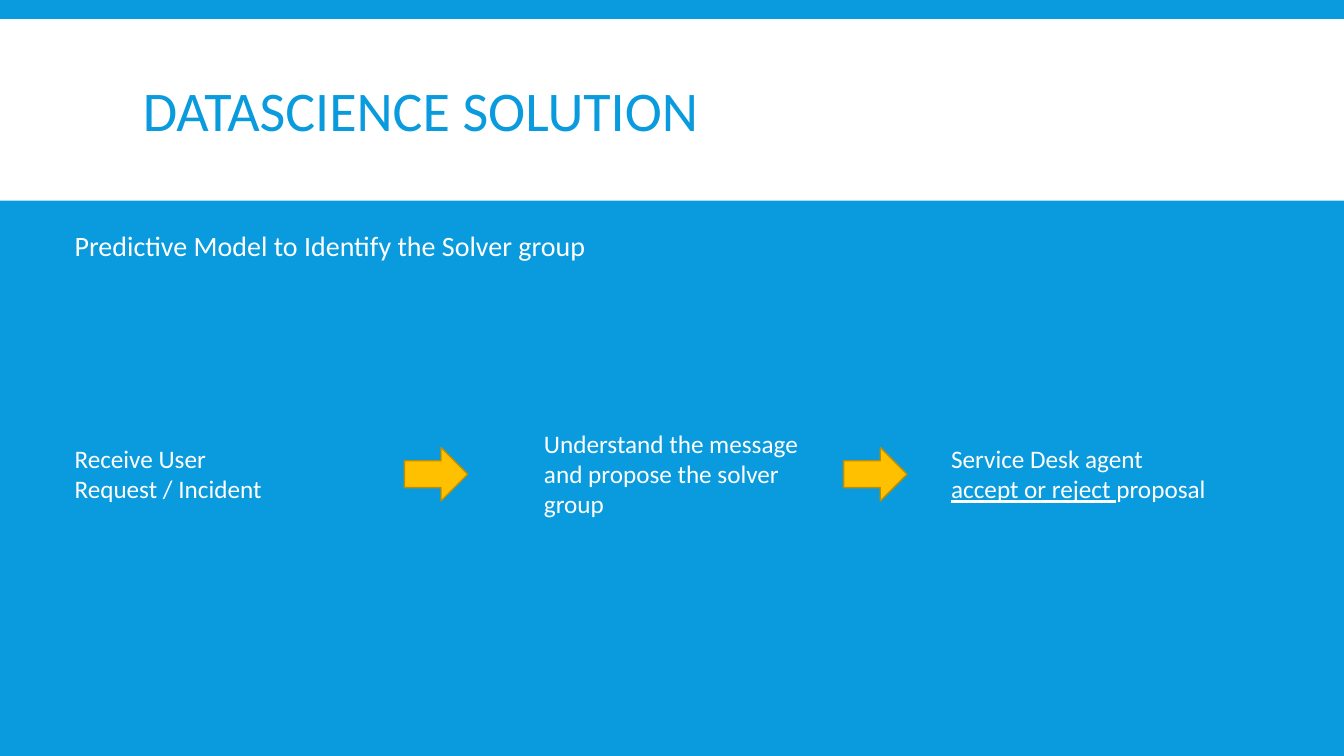
import pptx
import pptx.dml.color
import pptx.enum.shapes
import pptx.enum.text
import pptx.util

Cm = pptx.util.Cm
RGBColor = pptx.dml.color.RGBColor
MSO_SHAPE = pptx.enum.shapes.MSO_SHAPE
MSO_ANCHOR = pptx.enum.text.MSO_ANCHOR

BLUE = RGBColor(0x09, 0x9B, 0xDD)
WHITE = RGBColor(0xFF, 0xFF, 0xFF)
AMBER = RGBColor(0xFF, 0xC0, 0x00)
DARK_AMBER = RGBColor(0xBD, 0x8E, 0x00)

SLIDE_WIDTH, SLIDE_HEIGHT = 33.87, 19.05
LEFT_MARGIN = 1.63
FLOW_MIDDLE = 11.95
ARROW_WIDTH, ARROW_HEIGHT = 1.6, 1.35

# Each step: left, width, height, text runs as (text, underlined)
STEPS = [
    (LEFT_MARGIN, 6.43, 1.8, [("Receive User Request / Incident", False)]),
    (13.46, 6.91, 2.57,
     [("Understand the message and propose the solver group", False)]),
    (23.72, 7.1, 1.8,
     [("Service Desk agent ", False), ("accept or reject ", True),
      ("proposal", False)]),
]
ARROW_LEFTS = [10.19, 21.26]


def add_text(slide, runs, left, top, width, height, *, size=18, color=WHITE,
             anchor=MSO_ANCHOR.TOP, line_spacing=1.0, wrap=True):
    box = slide.shapes.add_textbox(Cm(left), Cm(top), Cm(width), Cm(height))
    frame = box.text_frame
    frame.word_wrap = wrap
    frame.vertical_anchor = anchor
    paragraph = frame.paragraphs[0]
    paragraph.line_spacing = line_spacing
    for text, underlined in runs:
        run = paragraph.add_run()
        run.text = text
        run.font.name = "Calibri"
        run.font.size = pptx.util.Pt(size)
        run.font.color.rgb = color
        run.font.underline = underlined


def add_block(slide, preset, left, top, width, height, fill, outline=None):
    block = slide.shapes.add_shape(preset, Cm(left), Cm(top), Cm(width), Cm(height))
    block.shadow.inherit = False
    block.fill.solid()
    block.fill.fore_color.rgb = fill
    if outline is None:
        block.line.fill.background()
    else:
        block.line.color.rgb = outline
        block.line.width = pptx.util.Pt(1)


def main():
    deck = pptx.Presentation()
    deck.slide_width, deck.slide_height = Cm(SLIDE_WIDTH), Cm(SLIDE_HEIGHT)
    slide = deck.slides.add_slide(deck.slide_layouts[6])
    slide.background.fill.solid()
    slide.background.fill.fore_color.rgb = BLUE

    # Title band
    add_block(slide, MSO_SHAPE.RECTANGLE, 0, 0.48, SLIDE_WIDTH, 4.58, WHITE)
    add_text(slide, [("DATASCIENCE SOLUTION", False)], 3.35, 0.79, 27.18, 4.19,
             size=40, color=BLUE, anchor=MSO_ANCHOR.MIDDLE, line_spacing=0.85)

    # Subtitle
    add_text(slide, [("Predictive Model to Identify the Solver group", False)],
             LEFT_MARGIN, 5.64, 13.67, 1.12, size=20, wrap=False)

    # Process steps, centred on one line
    for left, width, height, runs in STEPS:
        add_text(slide, runs, left, FLOW_MIDDLE - height / 2, width, height)

    # Arrows between the steps
    for left in ARROW_LEFTS:
        add_block(slide, MSO_SHAPE.RIGHT_ARROW, left, FLOW_MIDDLE - ARROW_HEIGHT / 2,
                  ARROW_WIDTH, ARROW_HEIGHT, AMBER, DARK_AMBER)

    deck.save("out.pptx")


if __name__ == "__main__":
    main()
